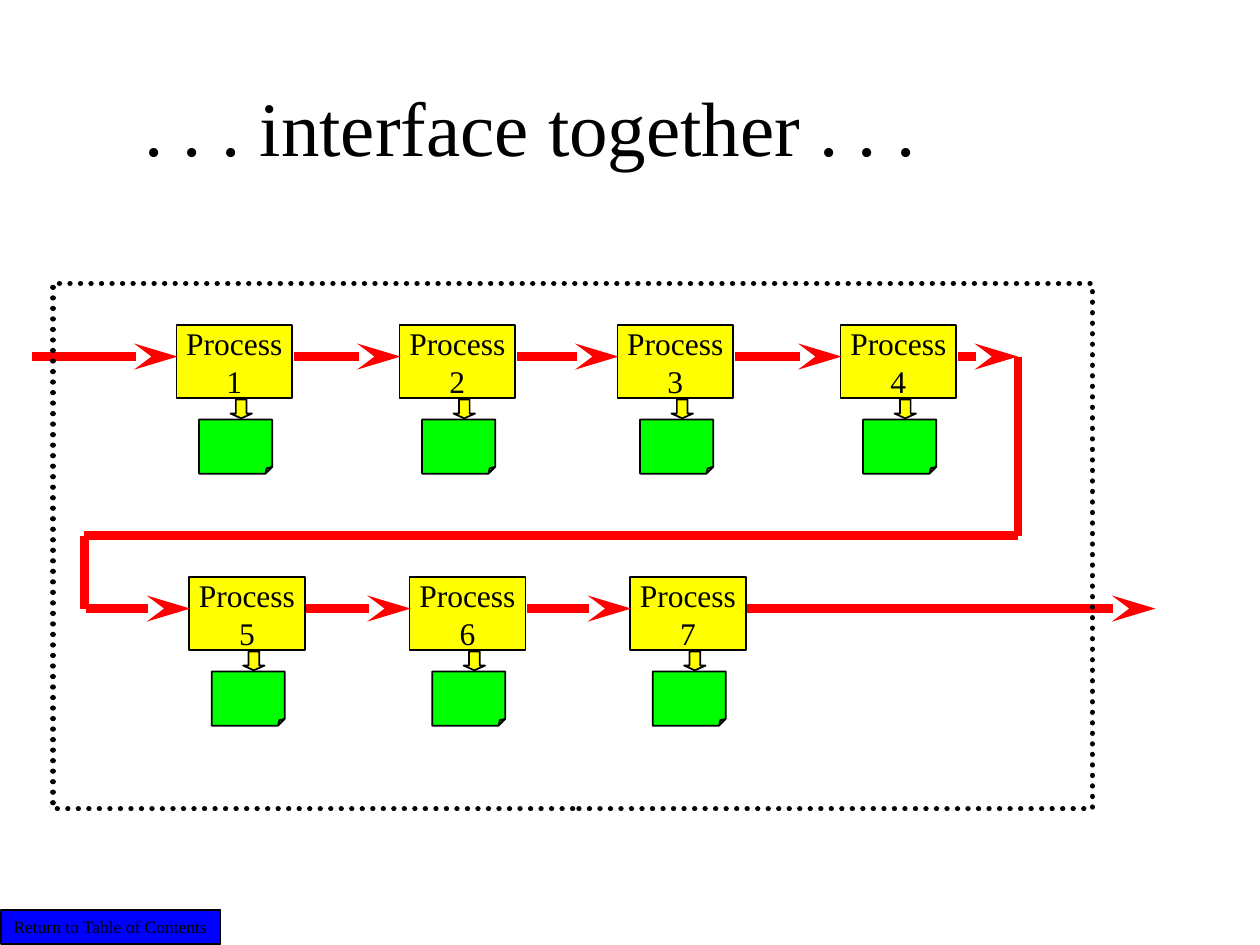
from dataclasses import dataclass

from lxml import etree
from pptx import Presentation
from pptx.dml.color import RGBColor
from pptx.enum.dml import MSO_LINE
from pptx.enum.shapes import MSO_CONNECTOR, MSO_SHAPE
from pptx.enum.text import MSO_ANCHOR, PP_ALIGN
from pptx.oxml.ns import qn
from pptx.util import Inches, Pt

RECT, NOTE, DOWN = MSO_SHAPE.RECTANGLE, MSO_SHAPE.FOLDED_CORNER, MSO_SHAPE.DOWN_ARROW
STRAIGHT = MSO_CONNECTOR.STRAIGHT
ROUND_DOT = MSO_LINE.ROUND_DOT
LEFT, CENTER = PP_ALIGN.LEFT, PP_ALIGN.CENTER
TOP, MIDDLE = MSO_ANCHOR.TOP, MSO_ANCHOR.MIDDLE


@dataclass(frozen=True)
class Theme:
    font: str = "Times New Roman"
    ink: RGBColor = RGBColor(0, 0, 0)
    flow: RGBColor = RGBColor(255, 0, 0)
    process: RGBColor = RGBColor(255, 255, 0)
    output: RGBColor = RGBColor(0, 255, 0)
    button: RGBColor = RGBColor(0, 0, 255)
    title_size: int = 44
    process_size: int = 18
    button_size: int = 10
    outline: float = 1
    flow_width: float = 5
    frame_width: float = 3


THEME = Theme()


def write(sp, lines, size, align=CENTER, anchor=MIDDLE, wrap=False):
    tf = sp.text_frame
    tf.word_wrap, tf.vertical_anchor = wrap, anchor
    tf.text = "\n".join(lines)
    fmt = {"name": THEME.font, "size": Pt(size)}
    for p in tf.paragraphs:
        p.alignment = align
        for key, value in fmt.items():
            setattr(p.font, key, value)
        p.font.color.rgb = THEME.ink


def add_box(s, kind, box, fill=None, width=THEME.outline):
    sp = s.shapes.add_shape(kind, *map(Inches, box))
    sp.shadow.inherit = False
    if fill is None:
        sp.fill.background()
    else:
        sp.fill.solid()
        sp.fill.fore_color.rgb = fill
    sp.line.color.rgb = THEME.ink
    sp.line.width = Pt(width)
    return sp


def set_adjustments(sp, **values):
    """Write the shape's adjustment values, in thousandths of a percent."""
    guides = sp._element.spPr.find(qn("a:prstGeom")).find(qn("a:avLst"))
    for guide in list(guides):
        guides.remove(guide)
    for name, value in values.items():
        etree.SubElement(guides, qn("a:gd"), name=name, fmla=f"val {value}")


def add_flow(s, start, end, arrow=True):
    line = s.shapes.add_connector(STRAIGHT, *map(Inches, (*start, *end)))
    line.line.color.rgb = THEME.flow
    line.line.width = Pt(THEME.flow_width)
    props = line._element.spPr
    if arrow:
        etree.SubElement(props.find(qn("a:ln")), qn("a:tailEnd"),
                         type="stealth", w="med", len="lg")
    etree.SubElement(props, qn("a:effectLst"))


def add_title(s, box):
    sp = s.shapes.add_textbox(*map(Inches, box))
    write(sp, [". . . interface together . . ."], THEME.title_size, wrap=True)


def add_process(s, number, x, y):
    """A process box with its output note below."""
    sp = add_box(s, RECT, (x, y, 0.92, 0.58), THEME.process)
    write(sp, ["Process", str(number)], THEME.process_size)
    note = add_box(s, NOTE, (x + 0.18, y + 0.75, 0.58, 0.43), THEME.output)
    set_adjustments(note, adj=12500)
    arrow = add_box(s, DOWN, (x + 0.43, y + 0.59, 0.17, 0.15), THEME.process)
    set_adjustments(arrow, adj1=50000, adj2=25000)


def add_row(s, first, lefts, top, start, end):
    """A row of processes, with arrows from start through each box to end."""
    y = top + 0.25
    for i, x in enumerate(lefts):
        add_process(s, first + i, x, top)
    sources = [start] + [x + 0.93 for x in lefts]
    targets = [x + 0.01 for x in lefts] + [end]
    for x1, x2 in zip(sources, targets):
        add_flow(s, (x1, y), (x2, y))


def add_return_path(s, left, right, top, turn, bottom):
    """The line that leads from the first row back to the second."""
    points = [(right, top), (right, turn), (left, turn), (left, bottom)]
    for start, end in zip(points, points[1:]):
        add_flow(s, start, end, arrow=False)


def add_frame(s, box):
    sp = add_box(s, RECT, box, width=THEME.frame_width)
    sp.line.dash_style = ROUND_DOT
    sp._element.spPr.find(qn("a:ln")).set("cap", "rnd")


def add_button(s, box):
    sp = add_box(s, RECT, box, THEME.button)
    write(sp, ["Return to Table of Contents"], THEME.button_size, LEFT, TOP)


def main():
    prs = Presentation()
    prs.slide_width, prs.slide_height = Inches(10), Inches(7.5)
    s = prs.slides.add_slide(prs.slide_layouts[6])

    add_title(s, (0, 0.25, 8.42, 1.5))
    # Process chain
    add_row(s, 1, [1.4, 3.17, 4.9, 6.67], 2.58, 0.25, 8.08)
    add_row(s, 5, [1.5, 3.25, 5], 4.58, 0.68, 9.17)
    add_return_path(s, 0.67, 8.08, 2.83, 4.25, 4.83)
    # System boundary and navigation
    add_frame(s, (0.42, 2.25, 8.25, 4.17))
    add_button(s, (0.01, 7.22, 1.74, 0.27))

    prs.save("out.pptx")


if __name__ == "__main__":
    main()
